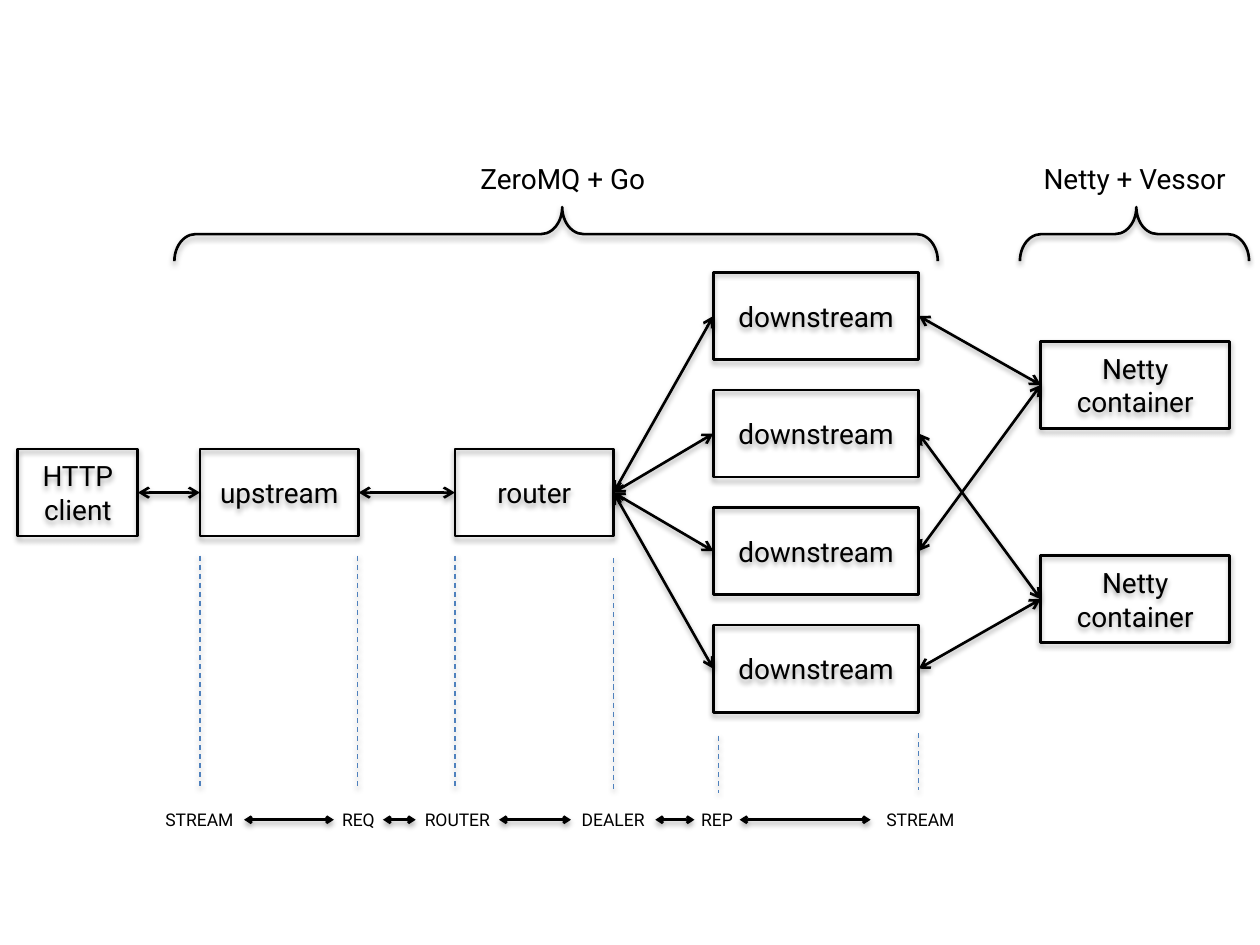
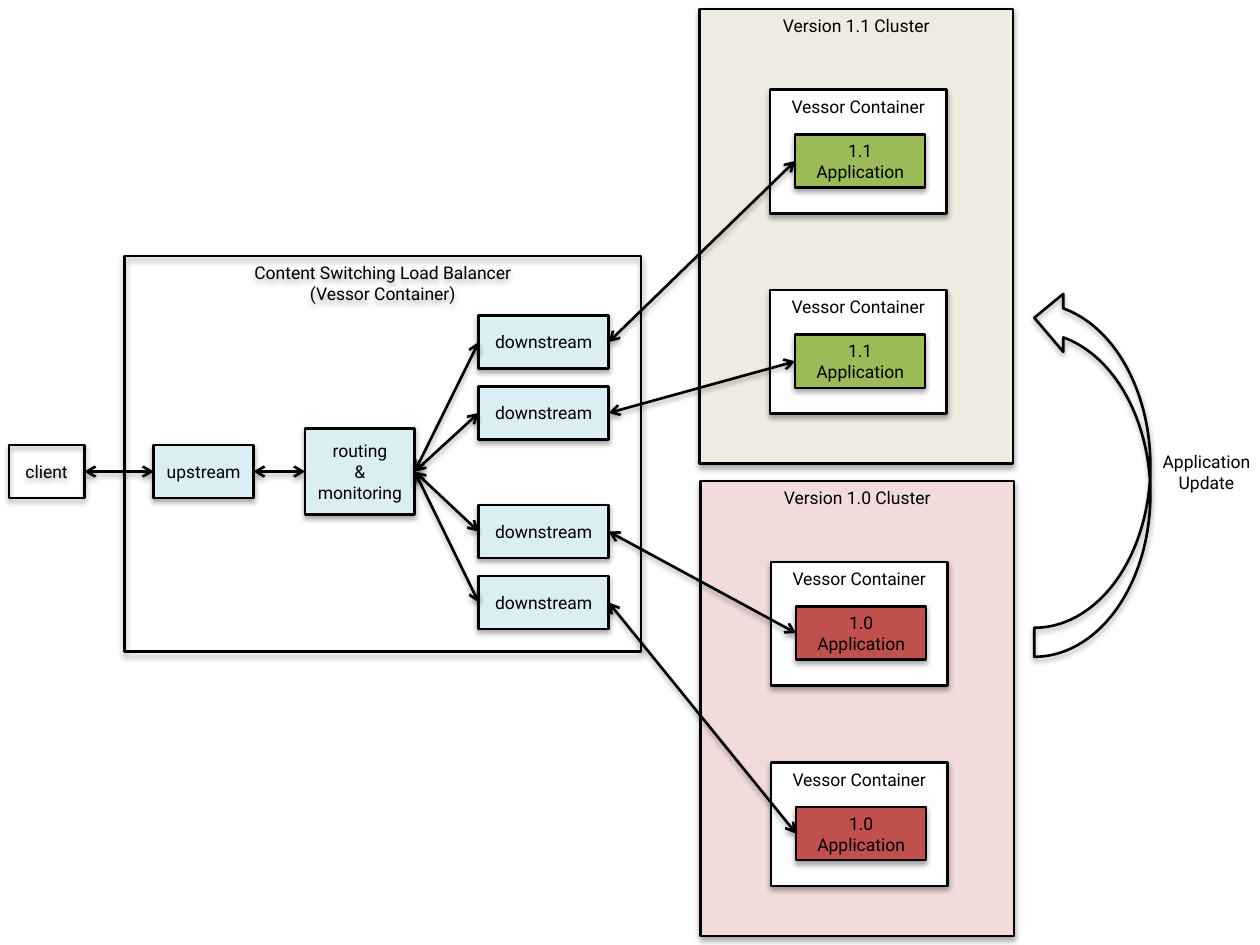
"""Draws a message-routing pipeline and a container-based application update."""

from dataclasses import dataclass
from itertools import pairwise
from typing import Optional

from lxml.etree import SubElement
from pptx import Presentation
from pptx.dml.color import RGBColor
from pptx.enum.dml import MSO_LINE
from pptx.enum.shapes import MSO_CONNECTOR, MSO_SHAPE
from pptx.enum.text import MSO_ANCHOR, PP_ALIGN
from pptx.oxml.ns import qn
from pptx.shapes.autoshape import Shape
from pptx.shapes.connector import Connector
from pptx.slide import Slide
from pptx.util import Cm, Pt


@dataclass(frozen=True)
class Theme:
    font: str = "Roboto"
    ink: str = "000000"
    guide: str = "4F81BD"
    white: str = "FFFFFF"
    node: str = "DBEEF4"
    new_cluster: str = "EEECE1"
    new_app: str = "9BBB59"
    old_cluster: str = "F2DCDB"
    old_app: str = "C0504D"
    large: float = 16
    small: float = 10
    stroke: float = 1.5
    thin: float = 0.75
    inset: float = 0.2


@dataclass(frozen=True)
class Box:
    left: float
    top: float
    width: float
    height: float
    text: str = ""
    size: float = 16
    fill: Optional[str] = None
    anchor: MSO_ANCHOR = MSO_ANCHOR.MIDDLE


@dataclass(frozen=True)
class Cluster:
    left: float
    top: float
    version: str
    fill: str
    app_fill: str


@dataclass(frozen=True)
class Guide:
    x: float
    top: float
    bottom: float


THEME = Theme()
LEFT_SITE, RIGHT_SITE = 1, 3


def color(value: str) -> RGBColor:
    return RGBColor.from_string(value)


def cast_shadow(shape: Shape | Connector, distance: int = 23000, opacity: int = 35) -> None:
    effects = SubElement(shape.element.spPr, qn("a:effectLst"))
    shadow = SubElement(effects, qn("a:outerShdw"), blurRad="40000", dist=str(distance),
                        dir="5400000", rotWithShape="0")
    tone = SubElement(shadow, qn("a:srgbClr"), val=THEME.ink)
    SubElement(tone, qn("a:alpha"), val=str(opacity * 1000))


def write_text(shape: Shape, box: Box, inset: float) -> None:
    frame = shape.text_frame
    frame.text = box.text
    frame.word_wrap = True
    frame.vertical_anchor = box.anchor
    frame.margin_left = frame.margin_right = Cm(inset)
    for paragraph in frame.paragraphs:
        paragraph.alignment = PP_ALIGN.CENTER
        for run in paragraph.runs:
            run.font.name = THEME.font
            run.font.size = Pt(box.size)
            run.font.color.rgb = color(THEME.ink)


def add_box(slide: Slide, box: Box, preset: MSO_SHAPE = MSO_SHAPE.RECTANGLE) -> Shape:
    shape = slide.shapes.add_shape(
        preset, Cm(box.left), Cm(box.top), Cm(box.width), Cm(box.height))
    if box.fill:
        shape.fill.solid()
        shape.fill.fore_color.rgb = color(box.fill)
    else:
        shape.fill.background()
    shape.line.color.rgb = color(THEME.ink)
    shape.line.width = Pt(THEME.stroke)
    cast_shadow(shape)
    if box.text:
        write_text(shape, box, THEME.inset)
    return shape


def add_label(slide: Slide, box: Box) -> Shape:
    label = slide.shapes.add_textbox(
        Cm(box.left), Cm(box.top), Cm(box.width), Cm(box.height))
    write_text(label, box, 0)
    label.text_frame.margin_top = label.text_frame.margin_bottom = 0
    return label


def add_brace(slide: Slide, center: float, length: float) -> None:
    thickness, middle = 1.09, 4.72
    brace = add_box(slide, Box(center - thickness / 2, middle - length / 2, thickness, length),
                    MSO_SHAPE.LEFT_BRACE)
    brace.adjustments[0] = 0.393
    brace.adjustments[1] = 0.492
    brace.rotation = 90


def link(slide: Slide, start: Shape, end: Shape, head: str = "med") -> None:
    connector = slide.shapes.add_connector(MSO_CONNECTOR.STRAIGHT, 0, 0, 0, 0)
    connector.begin_connect(start, RIGHT_SITE)
    connector.end_connect(end, LEFT_SITE)
    connector.line.color.rgb = color(THEME.ink)
    connector.line.width = Pt(THEME.stroke)
    line = connector.element.spPr.find(qn("a:ln"))
    for tip in ("a:headEnd", "a:tailEnd"):
        SubElement(line, qn(tip), type="arrow", w=head, len=head)
    cast_shadow(connector)


def add_guide(slide: Slide, guide: Guide) -> None:
    connector = slide.shapes.add_connector(
        MSO_CONNECTOR.STRAIGHT, Cm(guide.x), Cm(guide.top), Cm(guide.x), Cm(guide.bottom))
    connector.line.color.rgb = color(THEME.guide)
    connector.line.width = Pt(THEME.thin)
    connector.line.dash_style = MSO_LINE.DASH
    cast_shadow(connector, 20000, 38)


def draw_pipeline(slide: Slide) -> None:
    height, row = 1.76, 9.05
    client, upstream, router = (
        add_box(slide, Box(left, row, width, height, text))
        for left, width, text in ((0.36, 2.42, "HTTP\nclient"), (4.03, 3.2, "upstream"),
                                  (9.17, 3.2, "router")))
    downstreams = [add_box(slide, Box(14.38, 5.49 + 2.37 * index, 4.14, height, "downstream"))
                   for index in range(4)]
    containers = [add_box(slide, Box(20.98, top, 3.81, height, "Netty container"))
                  for top in (6.88, 11.2)]

    link(slide, client, upstream)
    link(slide, upstream, router)
    for index, downstream in enumerate(downstreams):
        link(slide, router, downstream)
        link(slide, downstream, containers[index % 2])

    for center, length in ((11.21, 15.39), (22.87, 4.62)):
        add_brace(slide, center, length)
    for left, text in ((8.92, "ZeroMQ + Go"), (20.45, "Netty + Vessor")):
        add_label(slide, Box(left, 3.12, 4.85, 0.94, text))

    sockets = [add_label(slide, Box(left, 16.31, width, 0.43, text, THEME.small))
               for left, width, text in (
                   (3.12, 1.8, "STREAM"), (6.73, 0.99, "REQ"), (8.38, 1.68, "ROUTER"),
                   (11.51, 1.7, "DEALER"), (14.0, 0.91, "REP"), (17.55, 2.01, "STREAM"))]
    for start, end in pairwise(sockets):
        link(slide, start, end, "sm")

    for guide in (Guide(4.03, 11.2, 15.93), Guide(7.2, 11.2, 15.93), Guide(9.17, 11.2, 15.93),
                  Guide(12.37, 11.25, 15.98), Guide(14.48, 14.83, 15.98),
                  Guide(18.52, 14.78, 15.93)):
        add_guide(slide, guide)


def draw_cluster(slide: Slide, cluster: Cluster) -> list[Shape]:
    """Draws a cluster with its two containers and returns their applications."""
    add_box(slide, Box(cluster.left, cluster.top, 6.32, 9.17,
                       f"Version {cluster.version} Cluster", THEME.small, cluster.fill,
                       MSO_ANCHOR.TOP))
    applications = []
    for index in range(2):
        top = cluster.top + 1.63 + 4.04 * index
        add_box(slide, Box(cluster.left + 1.42, top, 3.56, 2.49, "Vessor Container",
                           THEME.small, THEME.white, MSO_ANCHOR.TOP))
        applications.append(add_box(slide, Box(
            cluster.left + 1.93, top + 0.9, 2.62, 1.07,
            f"{cluster.version} Application", THEME.small, cluster.app_fill)))
    return applications


def draw_update(slide: Slide) -> None:
    clusters = (Cluster(14.1, 0.18, "1.1", THEME.new_cluster, THEME.new_app),
                Cluster(14.12, 9.7, "1.0", THEME.old_cluster, THEME.old_app))
    applications = [application for cluster in clusters
                    for application in draw_cluster(slide, cluster)]

    add_box(slide, Box(2.51, 5.16, 10.41, 7.98,
                       "Content Switching Load Balancer\n(Vessor Container)",
                       THEME.small, None, MSO_ANCHOR.TOP))
    height, row = 1.07, 8.97
    client = add_box(slide, Box(0.18, row, 1.52, height, "client", THEME.small))
    upstream = add_box(slide, Box(3.1, row, 2.01, height, "upstream", THEME.small, THEME.node))
    routing = add_box(slide, Box(6.15, 8.64, 2.21, 1.73, "routing\n& monitoring",
                                 THEME.small, THEME.node))
    downstreams = [add_box(slide, Box(9.65, pair_top + offset, 2.62, height, "downstream",
                                      THEME.small, THEME.node))
                   for pair_top in (6.36, 10.18) for offset in (0, 1.43)]

    link(slide, client, upstream)
    link(slide, upstream, routing)
    for downstream, application in zip(downstreams, applications):
        link(slide, routing, downstream)
        link(slide, downstream, application)

    arrow = add_box(slide, Box(20.85, 5.82, 2.34, 7.42), MSO_SHAPE.CURVED_RIGHT_ARROW)
    arrow.rotation = 180
    add_label(slide, Box(23.24, 8.99, 2.16, 1.07, "Application\nUpdate", THEME.small))


def main() -> None:
    presentation = Presentation()
    presentation.slide_width, presentation.slide_height = Cm(25.4), Cm(19.05)
    blank = presentation.slide_layouts[6]
    for draw in (draw_pipeline, draw_update):
        draw(presentation.slides.add_slide(blank))
    presentation.save("out.pptx")


main()
